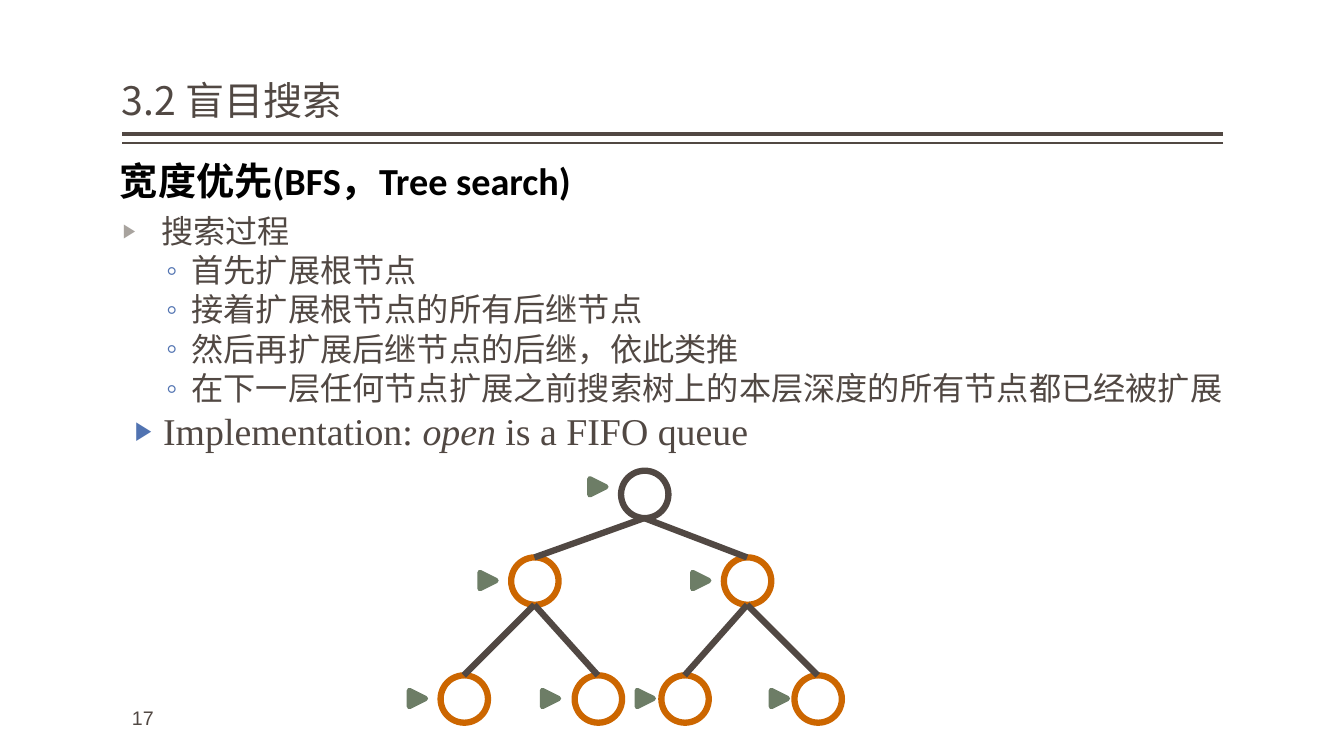
from dataclasses import dataclass
from typing import Optional

from lxml import etree
from pptx import Presentation
from pptx.dml.color import RGBColor
from pptx.enum.shapes import MSO_CONNECTOR, MSO_SHAPE
from pptx.enum.text import MSO_ANCHOR
from pptx.oxml.ns import qn
from pptx.util import Emu, Pt

PX = 9144  # 100 px to the inch
STRAIGHT = MSO_CONNECTOR.STRAIGHT
ELLIPSE = MSO_SHAPE.OVAL
TRIANGLE = MSO_SHAPE.ISOSCELES_TRIANGLE
TOP, MIDDLE, BOTTOM = MSO_ANCHOR.TOP, MSO_ANCHOR.MIDDLE, MSO_ANCHOR.BOTTOM

BROWN = RGBColor(0x51, 0x48, 0x43)
ORANGE = RGBColor(0xCC, 0x66, 0x00)
GREEN = RGBColor(0x6D, 0x7D, 0x66)
BLUE = RGBColor(0x51, 0x73, 0xB1)
GREY = RGBColor(0xA8, 0xA3, 0x9E)
BLACK = RGBColor(0, 0, 0)
WHITE = RGBColor(255, 255, 255)

CJK = "Noto Sans CJK SC"
NODE_SIZE = 47
MARKER_SIZE = 16


@dataclass(frozen=True)
class Style:
    size: float
    font: str
    color: RGBColor = BROWN
    bold: bool = False


@dataclass(frozen=True)
class Bullet:
    char: str
    color: RGBColor
    margin: int
    hanging: int
    percent: int = 100
    level: int = 0


@dataclass(frozen=True)
class Item:
    runs: tuple[str, ...]  # every second run is italic
    bullet: Bullet
    style: Style
    spacing: float
    before: float


@dataclass(frozen=True)
class Node:
    left: int
    top: int
    parent: Optional[int] = None
    color: RGBColor = ORANGE
    marker_dx: int = -31
    marker_dy: int = 15


PROCESS = Bullet("▶", GREY, 38, 38, 60)
STEP = Bullet("◦", BLUE, 68, 25, level=1)
IMPLEMENTATION = Bullet("▶", BLUE, 40, 28, 68)
BODY = Style(23, CJK)

ITEMS = (
    Item(("搜索过程",), PROCESS, BODY, 1.0, 0),
    *(Item((step,), STEP, BODY, 0.9, 3.2) for step in (
        "首先扩展根节点",
        "接着扩展根节点的所有后继节点",
        "然后再扩展后继节点的后继，依此类推",
        "在下一层任何节点扩展之前搜索树上的本层深度的所有节点都已经被扩展",
    )),
    Item(("Implementation: ", "open", " is a FIFO queue"), IMPLEMENTATION,
         Style(27, "Times New Roman"), 0.9, 4),
)

TREE = (
    Node(616, 467, color=BROWN, marker_dy=8),
    Node(507, 553, 0),
    Node(718, 553, 0),
    Node(437, 670, 1),
    Node(570, 670, 1, marker_dx=-32),
    Node(656, 670, 2, marker_dx=-24),
    Node(788, 670, 2, marker_dx=-23),
)


def px(length: int) -> Emu:
    return Emu(length * PX)


def add_run(paragraph, text: str, style: Style, italic: bool = False) -> None:
    run = paragraph.add_run()
    run.text = text
    font = run.font
    font.size, font.name = Pt(style.size), style.font
    font.bold, font.italic = style.bold, italic
    font.color.rgb = style.color
    etree.SubElement(font._element, qn("a:ea")).set("typeface", CJK)


def add_frame(slide, left: int, top: int, width: int, height: int,
              anchor=TOP, side_inset: int = 10):
    frame = slide.shapes.add_textbox(px(left), px(top), px(width), px(height)).text_frame
    frame.word_wrap = True
    frame.vertical_anchor = anchor
    frame.margin_left = frame.margin_right = px(side_inset)
    frame.margin_top = frame.margin_bottom = px(5)
    return frame


def set_bullet(paragraph, bullet: Bullet) -> None:
    paragraph.level = bullet.level
    properties = paragraph._p.get_or_add_pPr()
    properties.set("marL", str(px(bullet.margin)))
    properties.set("indent", str(-px(bullet.hanging)))
    color = etree.SubElement(properties, qn("a:buClr"))
    etree.SubElement(color, qn("a:srgbClr")).set("val", str(bullet.color))
    etree.SubElement(properties, qn("a:buSzPct")).set("val", str(bullet.percent * 1000))
    etree.SubElement(properties, qn("a:buFont")).set("typeface", "Arial")
    etree.SubElement(properties, qn("a:buChar")).set("char", bullet.char)


def add_items(slide) -> None:
    frame = add_frame(slide, 112, 205, 1126, 532)
    for index, item in enumerate(ITEMS):
        paragraph = frame.add_paragraph() if index else frame.paragraphs[0]
        set_bullet(paragraph, item.bullet)
        paragraph.line_spacing = item.spacing
        paragraph.space_before = Pt(item.before)
        for position, text in enumerate(item.runs):
            add_run(paragraph, text, item.style, italic=position % 2 == 1)


def add_line(slide, x1: int, y1: int, x2: int, y2: int, weight: float) -> None:
    line = slide.shapes.add_connector(STRAIGHT, px(x1), px(y1), px(x2), px(y2))
    line.line.color.rgb = BROWN
    line.line.width = Pt(weight)
    etree.SubElement(line._element.spPr, qn("a:effectLst"))


def add_mark(slide, preset, left: int, top: int, size: int,
             fill: RGBColor, outline: RGBColor, weight: float):
    mark = slide.shapes.add_shape(preset, px(left), px(top), px(size), px(size))
    mark.shadow.inherit = False
    mark.fill.solid()
    mark.fill.fore_color.rgb = fill
    mark.line.color.rgb = outline
    mark.line.width = Pt(weight)
    return mark


def add_tree(slide) -> None:
    for node in TREE:
        add_mark(slide, ELLIPSE, node.left, node.top, NODE_SIZE, WHITE, node.color, 4.5)
    half = NODE_SIZE // 2
    for node in TREE:
        if node.parent is not None:
            parent = TREE[node.parent]
            add_line(slide, parent.left + half, parent.top + NODE_SIZE,
                     node.left + half, node.top, 4.5)
        marker = add_mark(slide, TRIANGLE, node.left + node.marker_dx,
                          node.top + node.marker_dy, MARKER_SIZE, GREEN, GREEN, 3.78)
        marker.rotation = 90
        etree.SubElement(marker.line._get_or_add_ln(), qn("a:round"))


def main() -> None:
    presentation = Presentation()
    presentation.slide_width, presentation.slide_height = px(1333), px(750)
    slide = presentation.slides.add_slide(presentation.slide_layouts[6])

    for y, weight in ((133, 3), (142, 1)):
        add_line(slide, 1213, y, 121, y, weight)
    page_number = add_frame(slide, 121, 695, 200, 40)
    add_run(page_number.paragraphs[0], "17", Style(14, "Arial"))
    title = add_frame(slide, 121, 8, 1092, 120, BOTTOM, 0)
    title.paragraphs[0].line_spacing = 0.9
    add_run(title.paragraphs[0], "3.2 盲目搜索", Style(28, CJK))
    add_items(slide)
    heading = add_frame(slide, 119, 143, 900, 72, MIDDLE, 0)
    add_run(heading.paragraphs[0], "宽度优先(BFS，Tree search)",
            Style(27.3, "Calibri", BLACK, True))
    add_tree(slide)
    presentation.save("out.pptx")


if __name__ == "__main__":
    main()
